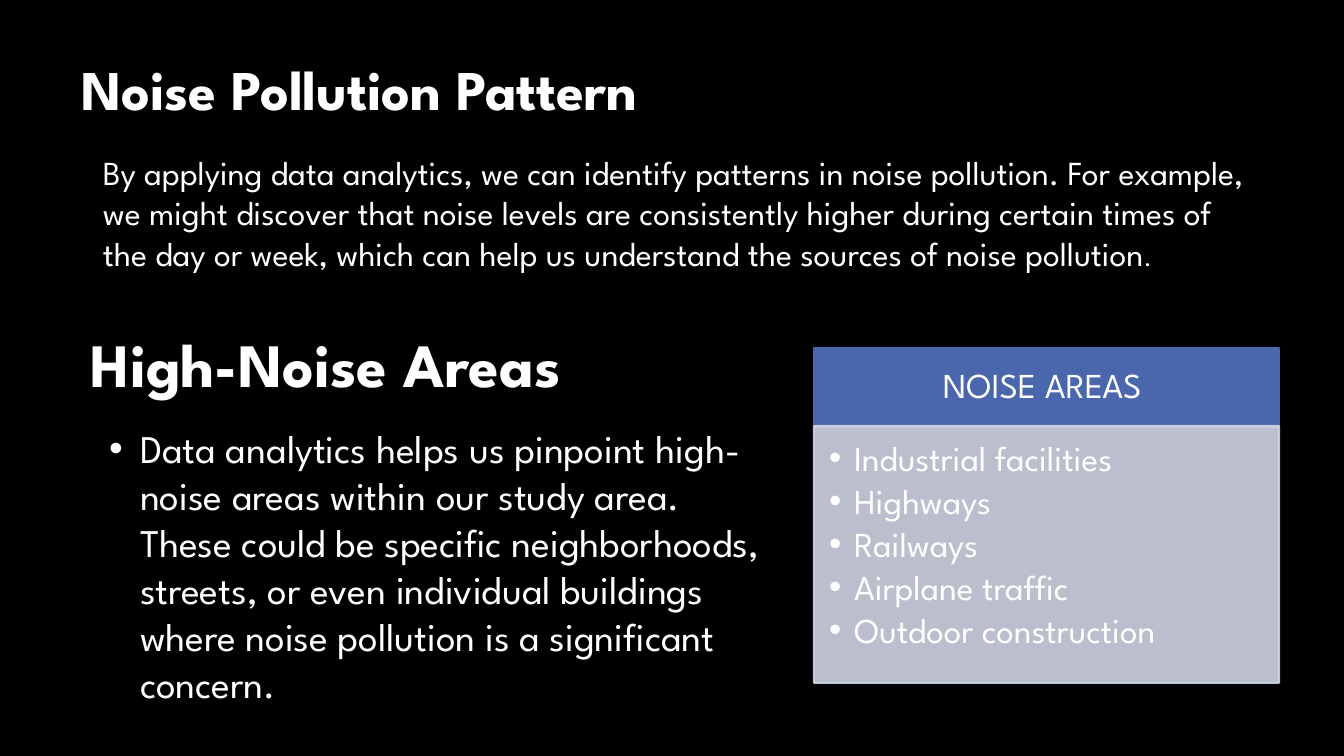
from lxml.etree import SubElement
from pptx import Presentation
from pptx.dml.color import RGBColor
from pptx.enum.shapes import MSO_SHAPE
from pptx.enum.text import MSO_ANCHOR, MSO_AUTO_SIZE, PP_ALIGN
from pptx.oxml.ns import qn
from pptx.util import Emu, Pt

COLOURS = {
    "background": "000000",
    "text": "FFFFFF",
    "header": "4A66AC",
    "panel": "D0D3E3",
}
FONT = "League Spartan"
EMU_PER_PX = 914400 / 100.8


def px(length):
    return Emu(round(length * EMU_PER_PX))


def colour(name):
    return RGBColor.from_string(COLOURS[name])


class SlideBuilder:
    def __init__(self, deck, layout):
        self.page = deck.slides.add_slide(layout)
        fill = self.page.background.fill
        fill.solid()
        fill.fore_color.rgb = colour("background")

    def place(self, shape, left, top, width, height):
        shape.left, shape.top = px(left), px(top)
        shape.width, shape.height = px(width), px(height)

    def bullet(self, para, indent):
        properties = para._p.get_or_add_pPr()
        properties.set("marL", str(px(indent)))
        properties.set("indent", str(-px(indent)))
        SubElement(properties, qn("a:buFont"), typeface="Arial")
        SubElement(properties, qn("a:buChar"), char="•")

    def set_text(self, shape, lines, size, bold=False, align=PP_ALIGN.LEFT,
                 anchor=MSO_ANCHOR.TOP, spacing=1.0, after=0, indent=0):
        frame = shape.text_frame
        frame.word_wrap = True
        frame.auto_size = MSO_AUTO_SIZE.NONE
        frame.vertical_anchor = anchor
        frame.text = "\n".join(lines)
        for para in frame.paragraphs:
            para.alignment = align
            para.line_spacing = spacing
            para.space_before = Pt(0)
            para.space_after = Pt(after)
            if indent:
                self.bullet(para, indent)
            para.font.name = FONT
            para.font.size = Pt(size)
            para.font.bold = bold
            para.font.color.rgb = colour("text")
        return frame

    def title(self, text, bounds, size):
        shape = self.page.shapes.title
        self.place(shape, *bounds)
        self.set_text(shape, [text], size, bold=True)

    def body(self, lines, bounds, size, indent):
        shape = self.page.placeholders[1]
        self.place(shape, *bounds)
        self.set_text(shape, lines, size, indent=indent)

    def text(self, text, bounds, size, bold=False):
        box = self.page.shapes.add_textbox(*map(px, bounds))
        return self.set_text(box, [text], size, bold=bold)

    def panel(self, lines, bounds, fill, insets, opacity=100, **style):
        box = self.page.shapes.add_shape(MSO_SHAPE.RECTANGLE, *map(px, bounds))
        box.shadow.inherit = False
        box.fill.solid()
        box.fill.fore_color.rgb = colour(fill)
        box.line.color.rgb = colour(fill)
        box.line.width = Pt(1.5)
        if opacity < 100:
            for paint in box._element.spPr.iter(qn("a:srgbClr")):
                SubElement(paint, qn("a:alpha"), val=str(opacity * 1000))
        frame = self.set_text(box, lines, 25, spacing=0.9, **style)
        (frame.margin_left, frame.margin_top,
         frame.margin_right, frame.margin_bottom) = map(px, insets)


def main():
    deck = Presentation()
    deck.slide_width, deck.slide_height = px(1344), px(756)
    slide = SlideBuilder(deck, deck.slide_layouts[1])

    slide.title("Noise Pollution Pattern", (71, 49, 1176, 78), 40)
    intro = slide.text(
        "By applying data analytics, we can identify patterns in noise "
        "pollution. For example, we might discover that noise levels are "
        "consistently higher during certain times of the day or week, which "
        "can help us understand the sources of noise pollution",
        (93, 147, 1175, 204), 24)
    full_stop = intro.paragraphs[0].add_run()
    full_stop.text = "."
    full_stop.font.size = Pt(18)

    slide.text("High-Noise Areas", (81, 321, 806, 85), 44, bold=True)
    slide.body(
        ["Data analytics helps us pinpoint high-noise areas within our study "
         "area. These could be specific neighborhoods, streets, or even "
         "individual buildings where noise pollution is a significant "
         "concern."],
        (99, 419, 691, 295), 28, indent=31)

    slide.panel(["NOISE AREAS "], (814, 348, 465, 79), "header",
                (19, 11, 19, 11), align=PP_ALIGN.CENTER,
                anchor=MSO_ANCHOR.MIDDLE)
    slide.panel(["Industrial facilities", "Highways", "Railways",
                 "Airplane traffic", "Outdoor construction"],
                (814, 426, 465, 257), "panel", (15, 15, 19, 22),
                opacity=90, after=3.75, indent=25)

    deck.save("out.pptx")


if __name__ == "__main__":
    main()
